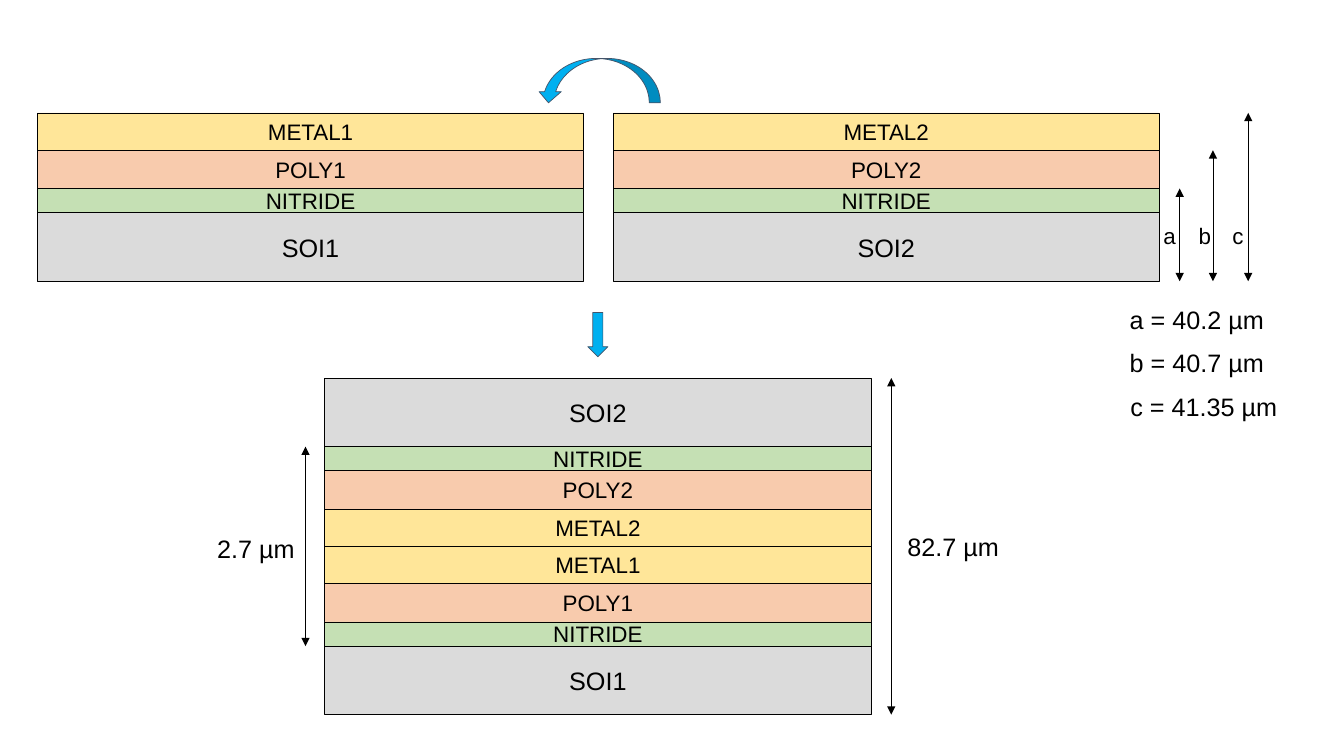
from lxml import etree
from pptx import Presentation
from pptx.dml.color import RGBColor
from pptx.enum.shapes import MSO_CONNECTOR, MSO_SHAPE
from pptx.enum.text import MSO_ANCHOR, PP_ALIGN
from pptx.oxml.ns import qn
from pptx.util import Inches, Pt

RECTANGLE = MSO_SHAPE.RECTANGLE
CURVED_ARROW = MSO_SHAPE.CURVED_DOWN_ARROW
DOWN_ARROW = MSO_SHAPE.DOWN_ARROW
STRAIGHT = MSO_CONNECTOR.STRAIGHT
MIDDLE = MSO_ANCHOR.MIDDLE
LEFT, CENTER, RIGHT = PP_ALIGN.LEFT, PP_ALIGN.CENTER, PP_ALIGN.RIGHT

COLORS = {
    "SOI": "DBDBDB", "POLY": "F8CBAD", "NITRIDE": "C5E0B4", "METAL": "FFE699",
    "arrow": "00B0F0", "arrow_edge": "44546A", "ink": "000000",
}
THICKNESS = {"METAL": 0.37, "POLY": 0.38, "NITRIDE": 0.24, "SOI": 0.68}
WAFER_WIDTH = 5.42
WAFER_TOP = 1.12
BONDED_LEFT, BONDED_TOP = 3.22, 3.75
LABEL_HEIGHT = 0.4


def color(name):
    return RGBColor.from_string(COLORS[name])


def write(frame, text, size, align):
    para = frame.paragraphs[0]
    para.text = text
    para.alignment = align
    para.font.name = "Arial"
    para.font.size = Pt(size)
    para.font.color.rgb = color("ink")


def add_block(page, kind, box, fill, edge):
    block = page.shapes.add_shape(kind, *map(Inches, box))
    block.shadow.inherit = False
    block.fill.solid()
    block.fill.fore_color.rgb = color(fill)
    block.line.color.rgb = color(edge)
    block.line.width = Pt(0.5)
    return block


def add_label(page, text, box, size=18, align=CENTER):
    label = page.shapes.add_textbox(*map(Inches, box))
    label.text_frame.word_wrap = True
    write(label.text_frame, text, size, align)


def add_dimension(page, x, top, bottom):
    arrow = page.shapes.add_connector(STRAIGHT, *map(Inches, (x, top, x, bottom)))
    arrow.line.color.rgb = color("ink")
    arrow.line.width = Pt(0.5)
    line = arrow.line._get_or_add_ln()
    for end in ("a:headEnd", "a:tailEnd"):
        etree.SubElement(line, qn(end)).set("type", "triangle")
    etree.SubElement(arrow._element.spPr, qn("a:effectLst"))


def wafer_layers(number):
    return [(name, name if name == "NITRIDE" else f"{name}{number}") for name in THICKNESS]


def add_stack(page, left, top, layers):
    edges = [top]
    for material, text in layers:
        height = THICKNESS[material]
        layer = add_block(page, RECTANGLE, (left, edges[-1], WAFER_WIDTH, height), material, "ink")
        layer.text_frame.vertical_anchor = MIDDLE
        write(layer.text_frame, text, 18 if material == "SOI" else 16, CENTER)
        edges.append(edges[-1] + height)
    return edges


def add_wafers(page, top):
    for number, left in ((1, 0.37), (2, 6.08)):
        edges = add_stack(page, left, top, wafer_layers(number))
    return edges


def add_wafer_dimensions(page, edges):
    metal_top, poly_top, nitride_top, _, bottom = edges
    dimensions = (
        ("a", "40.2", 11.7, 11.38, nitride_top, 1.6),
        ("b", "40.7", 12.03, 11.73, poly_top, 1.6),
        ("c", "41.35", 12.38, 12.06, metal_top, 1.74),
    )
    for row, (letter, value, x, letter_left, top, width) in enumerate(dimensions):
        add_dimension(page, x, top, bottom)
        add_label(page, letter, (letter_left, bottom - 0.64, 0.44, 0.37), 16)
        value_top = bottom + 0.18 + row * 0.43
        add_label(page, f"{letter} = {value} µm", (11.07, value_top, width, LABEL_HEIGHT))


def add_bonded_stack(page, left, top):
    layers = wafer_layers(2)[::-1] + wafer_layers(1)
    edges = add_stack(page, left, top, layers)
    middle = (edges[0] + edges[-1]) / 2
    right = left + WAFER_WIDTH
    add_dimension(page, right + 0.2, edges[0], edges[-1])
    add_label(page, "82.7 µm", (right + 0.26, middle - 0.2, 1.31, LABEL_HEIGHT), align=LEFT)
    add_dimension(page, left - 0.19, edges[1], edges[-2])
    add_label(page, "2.7 µm", (left - 1.51, middle - 0.18, 1.31, LABEL_HEIGHT), align=RIGHT)


def add_process_arrows(page):
    flip = add_block(page, CURVED_ARROW, (5.33, 0.58, 1.22, 0.44), "arrow", "arrow_edge")
    flip._element.spPr.find(qn("a:xfrm")).set("flipH", "1")
    add_block(page, DOWN_ARROW, (5.83, 3.1, 0.2, 0.44), "arrow", "arrow_edge")


def main():
    deck = Presentation()
    deck.slide_width, deck.slide_height = Inches(13.33), Inches(7.5)
    page = deck.slides.add_slide(deck.slide_layouts[6])
    edges = add_wafers(page, WAFER_TOP)
    add_wafer_dimensions(page, edges)
    add_process_arrows(page)
    add_bonded_stack(page, BONDED_LEFT, BONDED_TOP)
    deck.save("out.pptx")


if __name__ == "__main__":
    main()
